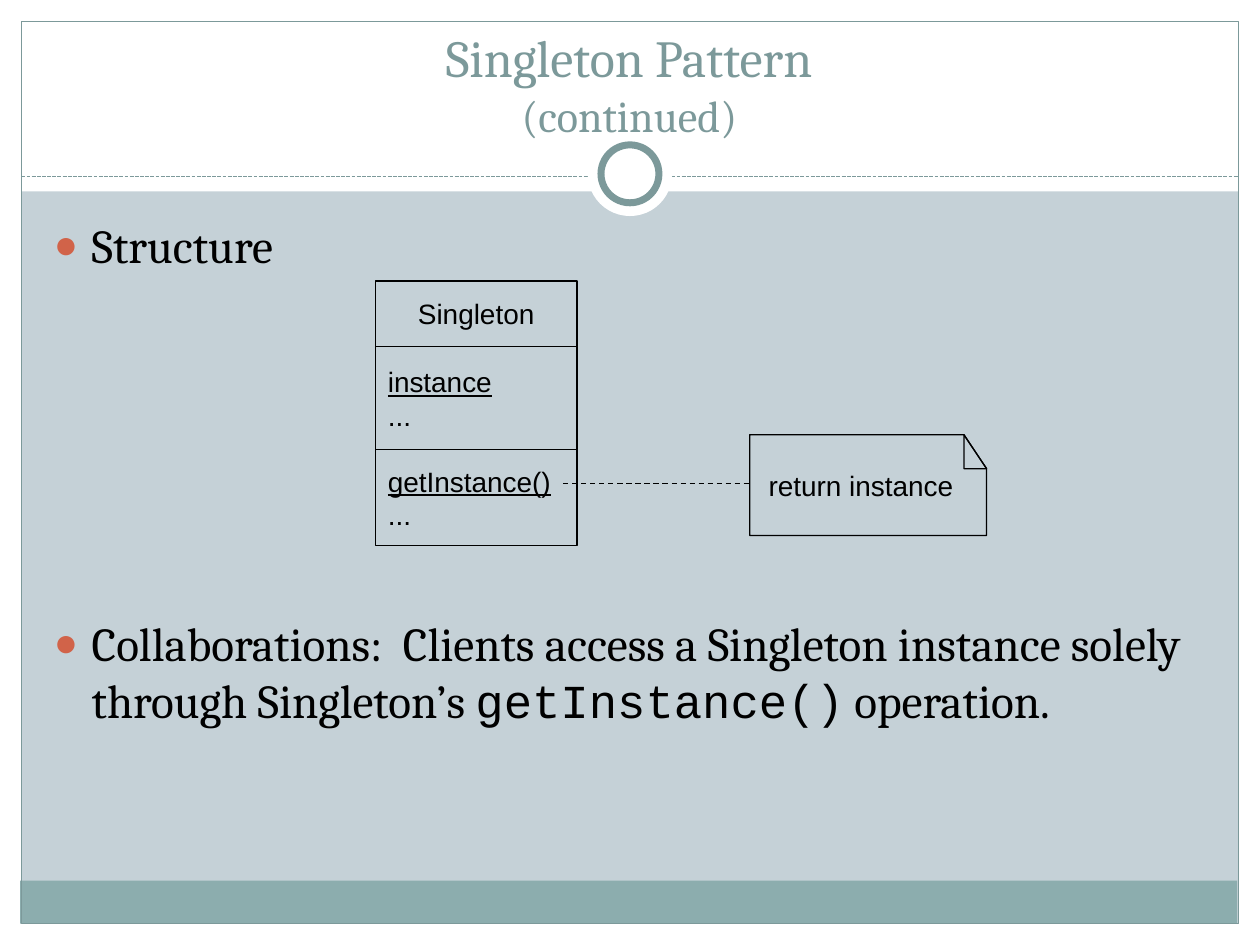
"""Build the Singleton Pattern slide with its class diagram and note."""
from dataclasses import dataclass
from lxml import etree
from pptx import Presentation
from pptx.dml.color import RGBColor
from pptx.enum import dml, shapes, text
from pptx.oxml.ns import qn
from pptx.util import Inches, Pt


@dataclass(frozen=True)
class Theme:
    back: str = "C5D1D7"
    white: str = "FFFFFF"
    band: str = "8CADAE"
    trim: str = "7C999A"
    dot: str = "D16349"
    ink: str = "000000"
    serif: str = "Cambria"
    sans: str = "Arial"
    mono: str = "Courier New"
    head: float = 29.7
    sub: float = 25.2
    body: float = 27
    label: float = 16
    thin: float = 0.75
    ring: float = 4


T = Theme()
W, H, EDGE = 10, 7.5, 0.17
TITLE = [("Singleton Pattern", T.head), ("(continued)", T.sub)]
POINTS = [
    (0, [("Structure", T.serif)]),
    (195, [
        ("Collaborations:  Clients access a Singleton instance solely through Singleton’s ", T.serif),
        ("getInstance()", T.mono),
        (" operation.", T.serif),
    ]),
]
CLASS = [
    (0.52, ["Singleton"]),
    (0.82, ["instance", "..."]),
    (0.76, ["getInstance()", "..."]),
]
NOTE = "return instance"
LEFT, TOP, WIDE = 2.98, 2.23, 1.6
NOTE_BOX = (5.95, 3.45, 7.83, 4.25)
FOLD = (0.18, 0.27)

deck = Presentation()
deck.slide_width, deck.slide_height = Inches(W), Inches(H)
slide = deck.slides.add_slide(deck.slide_layouts[6])
slide.background.fill.solid()
slide.background.fill.fore_color.rgb = RGBColor.from_string(T.back)


def dress(shape, fill=None, line=None, width=T.thin):
    shape.shadow.inherit = False
    if fill:
        shape.fill.solid()
        shape.fill.fore_color.rgb = RGBColor.from_string(fill)
    else:
        shape.fill.background()
    if line:
        shape.line.color.rgb = RGBColor.from_string(line)
        shape.line.width = Pt(width)
    else:
        shape.line.fill.background()
    return shape


def draw(kind, box, **look):
    return dress(slide.shapes.add_shape(kind, *map(Inches, box)), **look)


def dash(start, end, color, style):
    line = slide.shapes.add_connector(
        shapes.MSO_CONNECTOR.STRAIGHT, *map(Inches, (*start, *end)))
    line.line.color.rgb = RGBColor.from_string(color)
    line.line.width = Pt(T.thin)
    line.line.dash_style = style
    etree.SubElement(line._element.spPr, qn("a:effectLst"))


def style(para, face, size, color, align=text.PP_ALIGN.LEFT):
    para.alignment = align
    para.font.name, para.font.size = face, Pt(size)
    para.font.color.rgb = RGBColor.from_string(color)


def frame(box, anchor):
    area = slide.shapes.add_textbox(*map(Inches, box)).text_frame
    area.word_wrap = True
    area.vertical_anchor = anchor
    return area


def bullet(para):
    props = para._p.get_or_add_pPr()
    props.set("marL", str(Inches(0.3)))
    props.set("indent", str(-Inches(0.3)))
    tint = etree.SubElement(props, qn("a:buClr"))
    etree.SubElement(tint, qn("a:srgbClr"), val=T.dot)
    etree.SubElement(props, qn("a:buSzPct"), val="85000")
    etree.SubElement(props, qn("a:buFont"), typeface=T.sans)
    etree.SubElement(props, qn("a:buChar"), char="●")


def label(shape, lines, align=text.PP_ALIGN.LEFT, inset=0.1):
    area = shape.text_frame
    area.word_wrap = False
    area.vertical_anchor = text.MSO_ANCHOR.MIDDLE
    area.margin_left = Inches(inset)
    area.text = "\n".join(lines)
    for para in area.paragraphs:
        style(para, T.sans, T.label, T.ink, align)
    return area.paragraphs


RECT, OVAL = shapes.MSO_SHAPE.RECTANGLE, shapes.MSO_SHAPE.OVAL
for box in [(0, H - EDGE, W, EDGE), (0, 0, W, 1.52),
            (0, 0, EDGE, H), (W - EDGE, 0, EDGE, H)]:
    draw(RECT, box, fill=T.white)
draw(RECT, (0.16, 6.99, 9.66, 0.34), fill=T.band)
draw(RECT, (EDGE, EDGE, W - 2 * EDGE, H - 2 * EDGE), line=T.trim)
dash((EDGE, 1.4), (W - EDGE, 1.4), T.trim, dml.MSO_LINE.SQUARE_DOT)
for size, look in [(0.67, {}), (0.46, {"line": T.trim, "width": T.ring})]:
    draw(OVAL, ((W - size) / 2, 1.38 - size / 2, size, size), fill=T.white, **look)

title = frame((0.33, 0.34, 9.33, 0.83), text.MSO_ANCHOR.BOTTOM).paragraphs[0]
style(title, T.serif, T.head, T.trim, text.PP_ALIGN.CENTER)
for row, (words, size) in enumerate(TITLE):
    if row:
        title.add_line_break()
    run = title.add_run()
    run.text, run.font.size = words, Pt(size)

body = frame((0.33, 1.67, 9.3, 5), text.MSO_ANCHOR.TOP)
for row, (gap, runs) in enumerate(POINTS):
    para = body.add_paragraph() if row else body.paragraphs[0]
    para.space_before = Pt(gap)
    bullet(para)
    style(para, T.serif, T.body, T.ink)
    for words, face in runs:
        run = para.add_run()
        run.text, run.font.name = words, face

x1, y1, x2, y2 = NOTE_BOX
fold_x, fold_y = x2 - FOLD[0], y1 + FOLD[1]
pen = slide.shapes.build_freeform(Inches(x1), Inches(y1))
pen.add_line_segments([
    (Inches(x), Inches(y))
    for x, y in [(fold_x, y1), (x2, fold_y), (x2, y2), (x1, y2)]
], close=True)
note = dress(pen.convert_to_shape(), line=T.ink)
label(note, [NOTE], inset=0.15)
draw(shapes.MSO_SHAPE.RIGHT_TRIANGLE, (fold_x, y1, *FOLD), line=T.ink)
dash((4.47, 3.84), (x1, 3.84), T.ink, dml.MSO_LINE.DASH)

top = TOP
for row, (tall, lines) in enumerate(CLASS):
    cell = draw(RECT, (LEFT, top, WIDE, tall), line=T.ink)
    align = text.PP_ALIGN.LEFT if row else text.PP_ALIGN.CENTER
    first = label(cell, lines, align)[0]
    first.font.underline = row > 0
    top += tall

deck.save("out.pptx")
